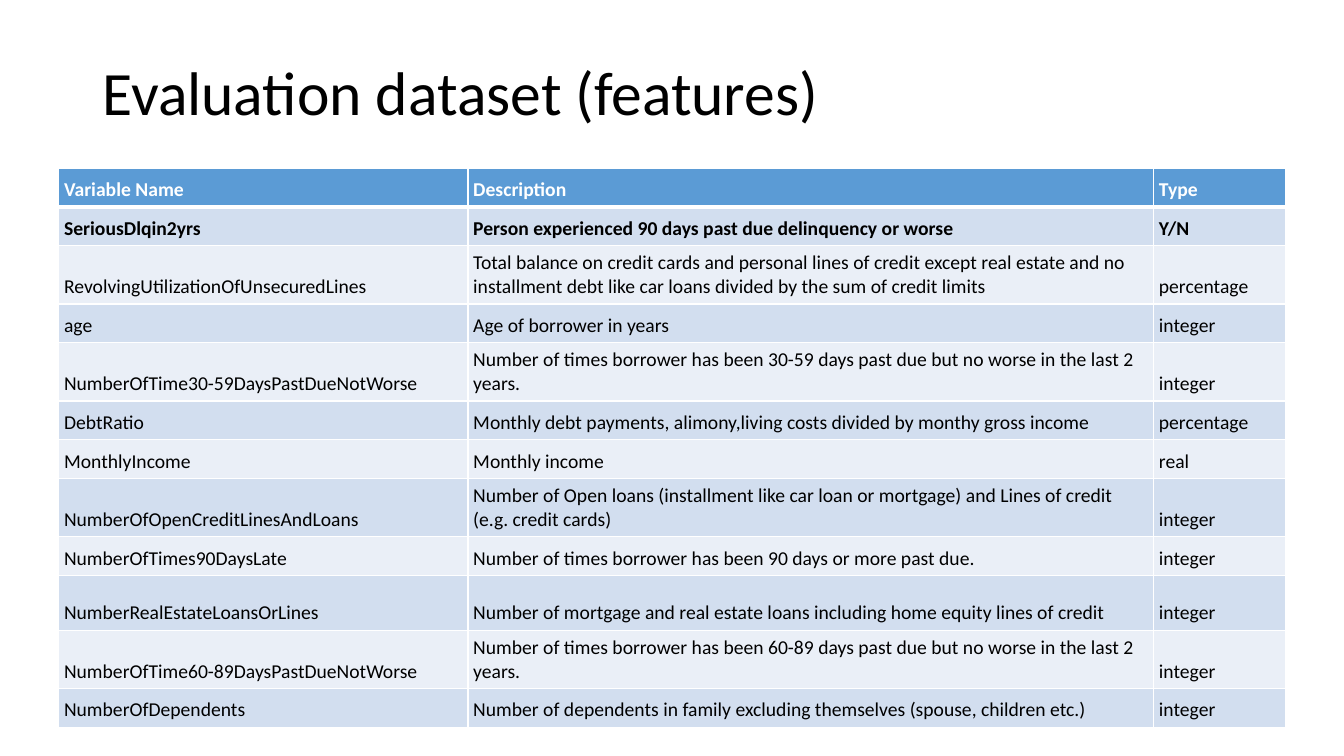
"""Build the slide that lists the features of the evaluation dataset."""
from lxml.etree import SubElement
from pptx import Presentation
from pptx.dml.color import RGBColor
from pptx.enum.text import MSO_ANCHOR, MSO_AUTO_SIZE, PP_ALIGN
from pptx.oxml.ns import qn
from pptx.util import Pt

WHITE = RGBColor(0xFF, 0xFF, 0xFF)
BLACK = RGBColor(0x00, 0x00, 0x00)
HEADER_BLUE = RGBColor(0x5B, 0x9B, 0xD5)
BAND_DARK = RGBColor(0xD2, 0xDE, 0xEF)
BAND_LIGHT = RGBColor(0xEA, 0xEF, 0xF7)

FONT = "Calibri"
INSET = Pt(3.75)
COLUMN_WIDTHS = [292.3, 489.8, 94.1]
ONE_LINE, TALL, TWO_LINES = 27.7, 39.2, 41.4

FEATURES = [
    (ONE_LINE, "Variable Name", "Description", "Type"),
    (ONE_LINE, "SeriousDlqin2yrs", "Person experienced 90 days past due delinquency or worse", "Y/N"),
    (TWO_LINES, "RevolvingUtilizationOfUnsecuredLines",
     "Total balance on credit cards and personal lines of credit except real estate and no "
     "installment debt like car loans divided by the sum of credit limits", "percentage"),
    (ONE_LINE, "age", "Age of borrower in years", "integer"),
    (TWO_LINES, "NumberOfTime30-59DaysPastDueNotWorse",
     "Number of times borrower has been 30-59 days past due but no worse in the last 2 years.", "integer"),
    (ONE_LINE, "DebtRatio",
     "Monthly debt payments, alimony,living costs divided by monthy gross income", "percentage"),
    (ONE_LINE, "MonthlyIncome", "Monthly income", "real"),
    (TWO_LINES, "NumberOfOpenCreditLinesAndLoans",
     "Number of Open loans (installment like car loan or mortgage) and Lines of credit "
     "(e.g. credit cards)", "integer"),
    (ONE_LINE, "NumberOfTimes90DaysLate", "Number of times borrower has been 90 days or more past due.", "integer"),
    (TALL, "NumberRealEstateLoansOrLines",
     "Number of mortgage and real estate loans including home equity lines of credit", "integer"),
    (TWO_LINES, "NumberOfTime60-89DaysPastDueNotWorse",
     "Number of times borrower has been 60-89 days past due but no worse in the last 2 years.", "integer"),
    (ONE_LINE, "NumberOfDependents",
     "Number of dependents in family excluding themselves (spouse, children etc.)", "integer"),
]


def add_border(cell, side, width):
    line = SubElement(cell._tc.get_or_add_tcPr(), qn(f"a:{side}"), w=str(Pt(width)))
    fill = SubElement(line, qn("a:solidFill"))
    SubElement(fill, qn("a:srgbClr"), val=str(WHITE))


def style_paragraph(paragraph, size, color, bold):
    paragraph.alignment = PP_ALIGN.LEFT
    paragraph.font.name = FONT
    paragraph.font.size = Pt(size)
    paragraph.font.color.rgb = color
    paragraph.font.bold = bold


presentation = Presentation()
presentation.slide_width = Pt(960)
presentation.slide_height = Pt(540)
slide = presentation.slides.add_slide(presentation.slide_layouts[5])

title = slide.shapes.title
title.left, title.top, title.width, title.height = Pt(66), Pt(28.75), Pt(828), Pt(79.2)
title.text_frame.text = "Evaluation dataset (features)"
title.text_frame.vertical_anchor = MSO_ANCHOR.MIDDLE
title.text_frame.auto_size = MSO_AUTO_SIZE.NONE
heading = title.text_frame.paragraphs[0]
heading.line_spacing = 0.9
style_paragraph(heading, 44, BLACK, False)

table_height = sum(feature[0] for feature in FEATURES)
feature_table = slide.shapes.add_table(
    len(FEATURES), len(COLUMN_WIDTHS), Pt(42), Pt(120.2), Pt(sum(COLUMN_WIDTHS)), Pt(table_height)
).table
for column, width in zip(feature_table.columns, COLUMN_WIDTHS):
    column.width = Pt(width)

for row, (height, *texts) in enumerate(FEATURES):
    feature_table.rows[row].height = Pt(height)
    is_header = row == 0
    band = HEADER_BLUE if is_header else (BAND_DARK if row % 2 else BAND_LIGHT)
    for column, text in enumerate(texts):
        cell = feature_table.cell(row, column)
        cell.text = text
        cell.vertical_anchor = MSO_ANCHOR.BOTTOM
        cell.margin_left = cell.margin_right = cell.margin_top = cell.margin_bottom = INSET
        add_border(cell, "lnL", 1)
        add_border(cell, "lnR", 1)
        add_border(cell, "lnT", 3 if row == 1 else 1)
        add_border(cell, "lnB", 3 if is_header else 1)
        cell.fill.solid()
        cell.fill.fore_color.rgb = band
        style_paragraph(cell.text_frame.paragraphs[0], 14, WHITE if is_header else BLACK, row < 2)

feature_table.cell(2, 1).vertical_anchor = MSO_ANCHOR.TOP

presentation.save("out.pptx")
